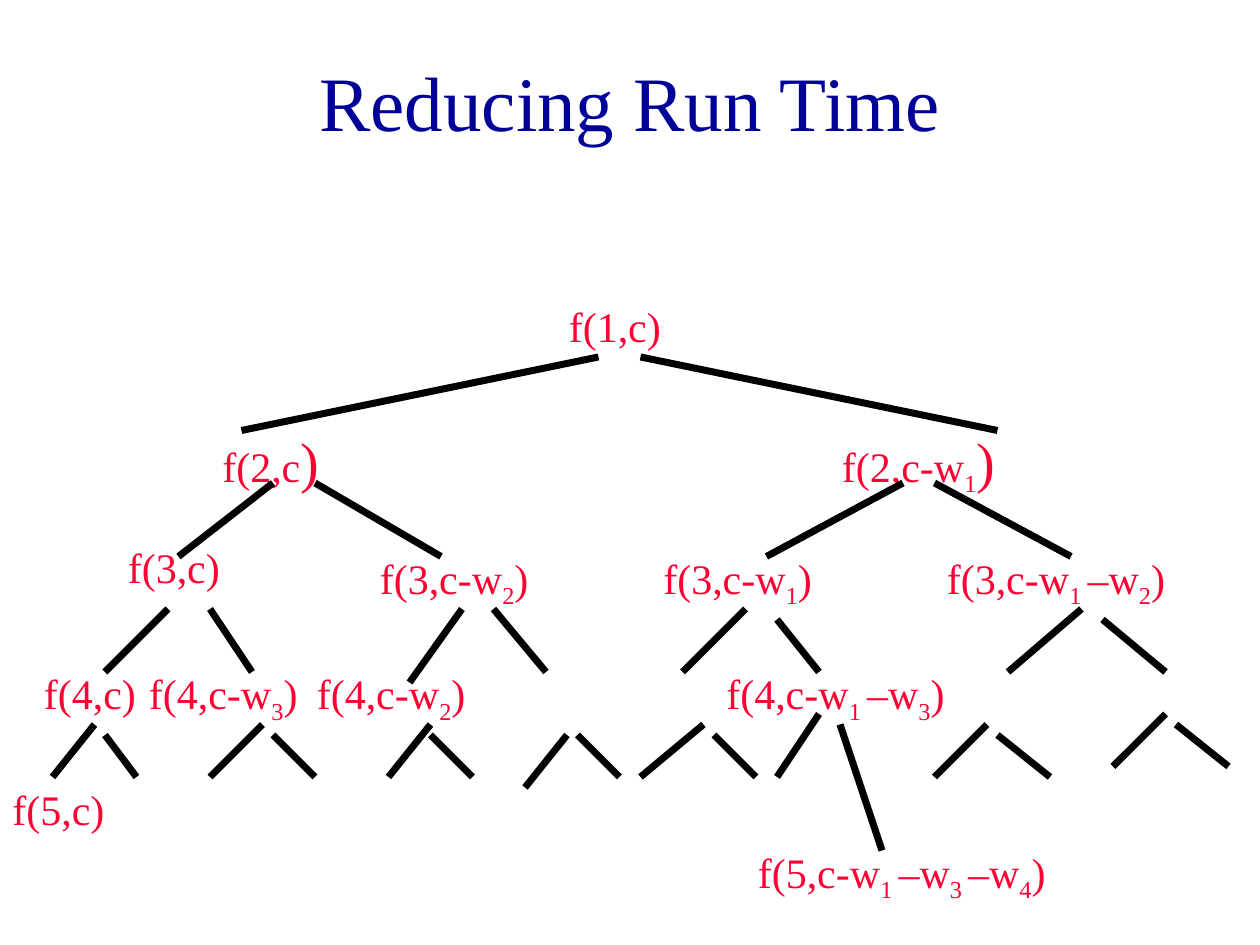
from dataclasses import dataclass

from lxml import etree
from pptx import Presentation
from pptx.dml.color import RGBColor
from pptx.enum.shapes import MSO_CONNECTOR
from pptx.enum.text import MSO_ANCHOR, MSO_AUTO_SIZE, PP_ALIGN
from pptx.oxml.ns import qn
from pptx.util import Inches, Pt

STRAIGHT = MSO_CONNECTOR.STRAIGHT
MIDDLE = MSO_ANCHOR.MIDDLE
CENTER = PP_ALIGN.CENTER
GROW = MSO_AUTO_SIZE.SHAPE_TO_FIT_TEXT
GRID_STEPS_PER_INCH = 12


@dataclass(frozen=True)
class Theme:
    font: str = "Times New Roman"
    title_color: RGBColor = RGBColor(0x00, 0x00, 0x99)
    call_color: RGBColor = RGBColor(0xFF, 0x00, 0x33)
    branch_color: RGBColor = RGBColor(0x00, 0x00, 0x00)
    title_size: int = 44
    call_size: int = 24
    large_size: int = 32
    branch_width: int = 4


THEME = Theme()

# left, top, width in grid steps; text pieces alternate normal and subscript
UPPER_CALLS = [
    (53, 28, 17, ["f(1,c)"], ""),
    (20, 40, 17, ["f(2,c"], ")"),
    (79, 40, 24, ["f(2,c-w", "1"], ")"),
]
LOWER_CALLS = [
    (11, 51, 17, ["f(3,c)"], ""),
    (35, 52, 24, ["f(3,c-w", "2", ")"], ""),
    (62, 52, 24, ["f(3,c-w", "1", ")"], ""),
    (89, 52, 31, ["f(3,c-w", "1 ", "–w", "2", ")"], ""),
    (3, 63, 12, ["f(4,c)"], ""),
    (13, 63, 24, ["f(4,c-w", "3", ")"], ""),
    (29, 63, 17, ["f(4,c-w", "2", ")"], ""),
    (68, 63, 31, ["f(4,c-w", "1 ", "–w", "3", ")"], ""),
    (0, 74, 12, ["f(5,c)"], ""),
    (71, 80, 31, ["f(5,c-w", "1 ", "–w", "3 ", "–w", "4", ")"], ""),
]
BRANCH_PAIRS = [
    ((57, 34, 23, 41), (61, 34, 95, 41)),
    ((26, 46, 17, 53), (30, 46, 42, 53)),
    ((86, 46, 73, 53), (89, 46, 102, 53)),
    ((16, 58, 10, 64), (20, 58, 24, 64)),
    ((44, 58, 39, 65), (47, 58, 52, 64)),
    ((71, 58, 65, 64), (74, 59, 78, 64)),
    ((103, 58, 96, 64), (105, 59, 111, 64)),
    ((9, 69, 5, 74), (10, 70, 13, 74)),
    ((25, 69, 20, 74), (26, 70, 30, 74)),
    ((41, 69, 37, 74), (41, 70, 45, 74)),
    ((54, 70, 50, 75), (55, 70, 59, 74)),
    ((67, 69, 61, 74), (68, 70, 72, 74)),
    ((78, 68, 74, 74), (80, 69, 84, 81)),
    ((94, 69, 89, 74), (95, 70, 100, 74)),
    ((111, 68, 106, 73), (112, 69, 117, 73)),
]


def grid(steps):
    return Inches(steps / GRID_STEPS_PER_INCH)


def add_run(paragraph, text, size, color, subscript=False):
    run = paragraph.add_run()
    run.text = text
    run.font.name = THEME.font
    run.font.size = Pt(size)
    run.font.color.rgb = color
    if subscript:
        run.font._element.set("baseline", "-25000")


def add_title(slide, text):
    title = slide.shapes.add_textbox(
        Inches(0.75), Inches(0.17), Inches(8.5), Inches(1.25))
    frame = title.text_frame
    frame.word_wrap = True
    frame.vertical_anchor = MIDDLE
    heading = frame.paragraphs[0]
    heading.alignment = CENTER
    add_run(heading, text, THEME.title_size, THEME.title_color)


def add_call(slide, left, top, width, pieces, large_ending):
    height = 0.65 if large_ending else 0.5 if len(pieces) == 1 else 0.56
    call = slide.shapes.add_textbox(
        grid(left), grid(top), grid(width), Inches(height))
    frame = call.text_frame
    frame.word_wrap = True
    frame.auto_size = GROW
    expression = frame.paragraphs[0]
    for index, piece in enumerate(pieces):
        add_run(expression, piece, THEME.call_size, THEME.call_color,
                subscript=index % 2 == 1)
    if large_ending:
        add_run(expression, large_ending, THEME.large_size, THEME.call_color)


def add_branch(slide, ends):
    branch = slide.shapes.add_connector(STRAIGHT, *map(grid, ends))
    branch.line.color.rgb = THEME.branch_color
    branch.line.width = Pt(THEME.branch_width)
    etree.SubElement(branch._element.spPr, qn("a:effectLst"))


def main():
    deck = Presentation()
    deck.slide_width, deck.slide_height = Inches(10), Inches(7.5)
    slide = deck.slides.add_slide(deck.slide_layouts[6])
    add_title(slide, "Reducing Run Time")
    for call in UPPER_CALLS:
        add_call(slide, *call)
    for pair in BRANCH_PAIRS:
        for ends in pair:
            add_branch(slide, ends)
    for call in LOWER_CALLS:
        add_call(slide, *call)
    deck.save("out.pptx")


if __name__ == "__main__":
    main()
